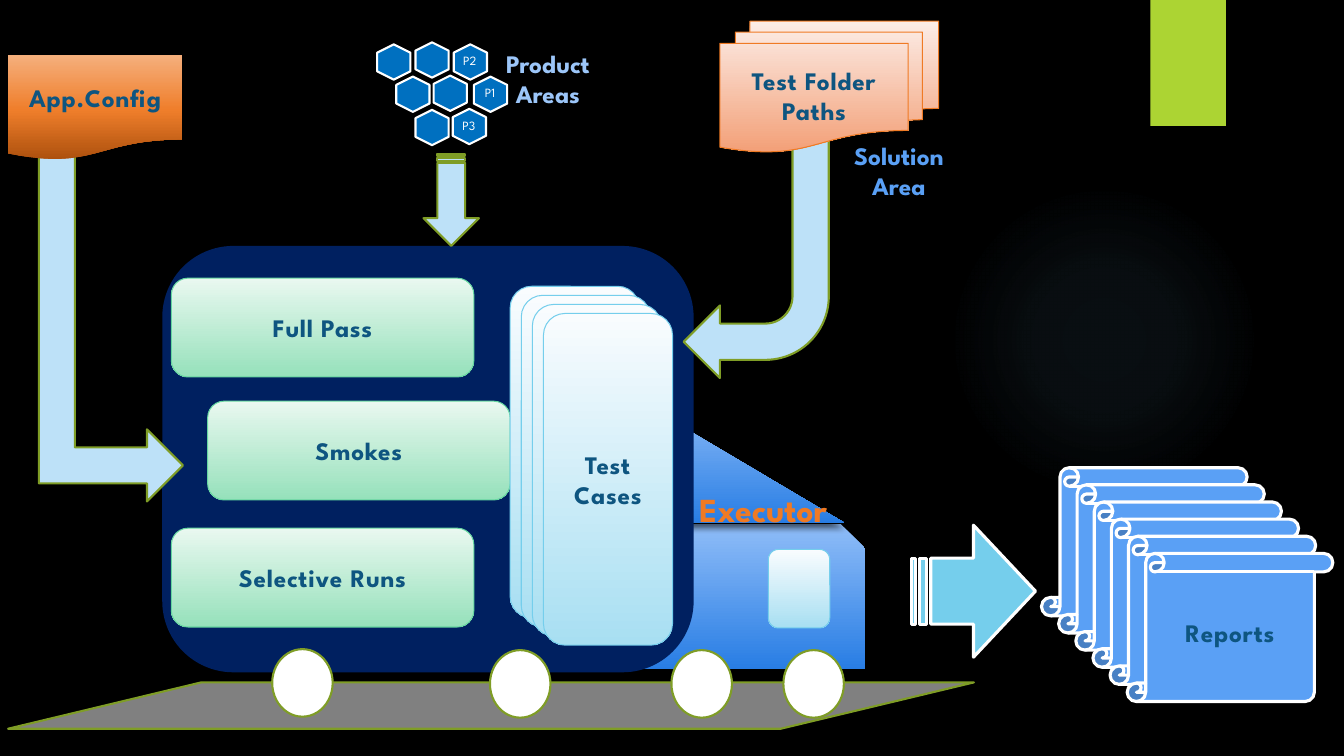
from pptx import Presentation
from pptx.dml.color import RGBColor
from pptx.enum.shapes import MSO_SHAPE
from pptx.enum.text import MSO_ANCHOR, PP_ALIGN
from pptx.oxml import parse_xml
from pptx.oxml.ns import nsdecls, qn
from pptx.util import Inches, Pt

RECT = MSO_SHAPE.RECTANGLE
ROUNDED = MSO_SHAPE.ROUNDED_RECTANGLE
OVAL = MSO_SHAPE.OVAL
HEXAGON = MSO_SHAPE.HEXAGON
CAB = MSO_SHAPE.SNIP_ROUND_RECTANGLE
TRIANGLE = MSO_SHAPE.RIGHT_TRIANGLE
ROAD = MSO_SHAPE.FLOWCHART_DATA
SCROLL = MSO_SHAPE.VERTICAL_SCROLL
STRIPED_ARROW = MSO_SHAPE.STRIPED_RIGHT_ARROW
BENT_UP_ARROW = MSO_SHAPE.BENT_UP_ARROW
BENT_ARROW = MSO_SHAPE.BENT_ARROW
DOCUMENT = MSO_SHAPE.FLOWCHART_DOCUMENT
DOCUMENTS = MSO_SHAPE.FLOWCHART_MULTIDOCUMENT
WHEEL = MSO_SHAPE.FLOWCHART_CONNECTOR
MIDDLE = MSO_ANCHOR.MIDDLE
TOP = MSO_ANCHOR.TOP
CENTER = PP_ALIGN.CENTER

COLORS = {
    "black": "000000", "white": "FFFFFF", "lime": "ACD433", "glow": "7AC4F0",
    "cell": "0070C0", "navy": "002060", "road": "808080", "olive": "7F9D26",
    "report": "5AA0F5", "sky": "75CEEC", "pale": "BDE1F8", "ink": "0E5580",
    "mint": "65D6A0", "orange": "EF7A24", "light": "9CC6F9",
}
GRADIENTS = {
    "truck": (90, [(0, "8FBDF8"), (100, "287DE4")]),
    "run": (90, [(0, "E9F8F0"), (100, "96E1BB")]),
    "case": (90, [(0, "F9FCFE"), (100, "A8DFF2")]),
    "folder": (90, [(0, "FCEDE7"), (100, "F3A078")]),
    "config": (270, [(0, "AC500D"), (48, "EF7E2B"), (100, "F5AF7C")]),
    "halo": (None, [(0, COLORS["glow"], 7), (36, COLORS["glow"], 6),
                    (69, COLORS["glow"], 0)]),
}


def color(name):
    return RGBColor.from_string(COLORS[name])


def gradient_xml(angle, stops):
    marks = ""
    for position, shade, *alpha in stops:
        opacity = f'<a:alpha val="{alpha[0] * 1000}"/>' if alpha else ""
        marks += (f'<a:gs pos="{position * 1000}"><a:srgbClr val="{shade}">'
                  f'{opacity}</a:srgbClr></a:gs>')
    if angle is None:
        course = ('<a:path path="circle"><a:fillToRect l="50000" t="50000" '
                  'r="50000" b="50000"/></a:path>')
    else:
        course = f'<a:lin ang="{angle * 60000}" scaled="0"/>'
    return parse_xml(f'<a:gradFill {nsdecls("a")} rotWithShape="1"><a:gsLst>'
                     f'{marks}</a:gsLst>{course}</a:gradFill>')


class Painter:
    font = "League Spartan"

    def __init__(self, page):
        self.page = page

    def shape(self, kind, at, fill=None, line=None, width=0.75, turn=0, shapes=None):
        shapes = shapes or self.page.shapes
        box = shapes.add_shape(kind, *map(Inches, at))
        box.shadow.inherit = False
        box.rotation = turn
        if fill in COLORS:
            box.fill.solid()
            box.fill.fore_color.rgb = color(fill)
        else:
            box.fill.background()
        if fill in GRADIENTS:
            properties = box._element.spPr
            properties.replace(properties.find(qn("a:noFill")),
                               gradient_xml(*GRADIENTS[fill]))
        if line:
            box.line.color.rgb = color(line)
            box.line.width = Pt(width)
        else:
            box.line.fill.background()
        return box

    def shadow(self, box, opacity, blur, distance):
        box._element.spPr.find(qn("a:effectLst")).append(parse_xml(
            f'<a:outerShdw {nsdecls("a")} blurRad="{Pt(blur)}" dist="{Pt(distance)}" '
            f'dir="5400000" rotWithShape="0"><a:srgbClr val="{COLORS["black"]}">'
            f'<a:alpha val="{opacity * 1000}"/></a:srgbClr></a:outerShdw>'))

    def caption(self, box, words, ink="ink", size=18, bold=True, spacing=0.5,
                wrap=True, anchor=MIDDLE):
        frame = box.text_frame
        frame.word_wrap = wrap
        frame.vertical_anchor = anchor
        para = frame.paragraphs[0]
        para.text = words
        para.alignment = CENTER
        para.font.name = self.font
        para.font.size = Pt(size)
        para.font.bold = bold
        para.font.color.rgb = color(ink)
        if spacing:
            para.font._element.set("spc", str(int(spacing * 100)))
        return para

    def label(self, at, words, shapes=None, inset=None, **style):
        box = (shapes or self.page.shapes).add_textbox(*map(Inches, at))
        frame = box.text_frame
        if inset is not None:
            frame.margin_left = frame.margin_right = Inches(inset)
            frame.margin_top = frame.margin_bottom = Inches(inset)
        return self.caption(box, words, spacing=0, **style)

    def stack(self, kind, count, start, step, size, fill, line, width=0.75):
        for index in range(count):
            corner = [first + index * gap for first, gap in zip(start, step)]
            box = self.shape(kind, (*corner, *size), fill, line, width)
        return box

    def honeycomb(self, cells):
        shapes = self.page.shapes.add_group_shape().shapes
        for left, top, words in cells:
            self.shape(HEXAGON, (left, top, 0.35, 0.33), "cell", "white", 1.5, 90, shapes)
            if words:
                para = self.label((left + 0.06, top + 0.04, 0.22, 0.24), words, shapes,
                                  0.04, ink="white", size=9, bold=False, wrap=False)
                para.line_spacing = 0.9


def main():
    deck = Presentation()
    deck.slide_width, deck.slide_height = Inches(13.33), Inches(7.5)
    page = deck.slides.add_slide(deck.slide_layouts[6])
    page.background.fill.solid()
    page.background.fill.fore_color.rgb = color("black")
    painter = Painter(page)

    painter.shape(OVAL, (9.41, 1.83, 3.08, 3.08), "halo")
    ribbon = painter.shape(RECT, (11.41, 0, 0.75, 1.25), "lime")
    painter.shadow(ribbon, 45, 3, 2)
    painter.honeycomb([
        (4.49, 0.45, "P2"), (4.11, 0.43, ""), (4.69, 0.77, "P1"),
        (4.29, 0.76, ""), (4.48, 1.09, "P3"), (3.92, 0.77, ""),
        (4.11, 1.1, ""), (3.73, 0.45, ""),
    ])

    for kind, at in ((CAB, (6.22, 5.2, 2.36, 1.44)), (TRIANGLE, (6.29, 3.95, 2.09, 1.24))):
        painter.shadow(painter.shape(kind, at, "truck"), 60, 5, 3)
    painter.shape(ROAD, (0.08, 6.77, 9.58, 0.46), "road", "olive", 1.5)
    painter.shape(ROUNDED, (1.61, 2.44, 5.27, 4.23), "navy")

    for left, top, words in ((1.7, 2.76, "Full Pass"), (2.06, 3.98, "Smokes"),
                             (1.7, 5.24, "Selective Runs")):
        run_box = painter.shape(ROUNDED, (left, top, 3, 0.98), "run", "mint")
        painter.caption(run_box, words)

    cases = painter.stack(ROUNDED, 4, (5.06, 2.84), (0.11, 0.09), (1.28, 3.29), "case", "sky")
    painter.caption(cases, "Test Cases")
    painter.shape(STRIPED_ARROW, (9.04, 5.21, 1.23, 1.31), "sky", "white", 2.25)
    reports = painter.stack(SCROLL, 6, (10.33, 4.64), (0.17, 0.17), (2.04, 1.47),
                            "report", "white", 2.25)
    painter.caption(reports, "Reports")

    painter.shape(BENT_UP_ARROW, (-0.63, 2.53, 3.46, 1.43), "pale", "olive", 1.5, 90)
    config = painter.shape(DOCUMENT, (0.08, 0.55, 1.73, 1.04), "config")
    painter.caption(config, "App.Config")
    painter.shape(BENT_ARROW, (6.78, 1.35, 1.44, 2.4), "pale", "olive", 1.5, 180)
    folders = painter.shape(DOCUMENTS, (7.14, 0.21, 2.17, 1.3), "folder", "orange")
    painter.caption(folders, "Test Folder Paths")
    painter.shape(STRIPED_ARROW, (4.02, 1.71, 0.91, 0.55), "pale", "olive", 1.5, 90)

    painter.label((6.76, 4.8, 1.62, 0.5), "Executor", ink="orange", size=24,
                  wrap=False, anchor=TOP)
    for left, top in ((6.66, 6.45), (7.77, 6.45), (4.86, 6.45), (2.7, 6.44)):
        painter.shape(WHEEL, (left, top, 0.6, 0.67), "white", "olive", 1.5)
    painter.shape(ROUNDED, (7.62, 5.45, 0.61, 0.78), "case", "sky")

    for at, words, ink in (((4.53, 0.29, 1.81, 0.97), "Product Areas", "light"),
                           ((8.17, 1.29, 1.49, 0.8), "Solution Area", "report")):
        painter.caption(painter.shape(ROUNDED, at), words, ink, spacing=0)

    deck.save("out.pptx")


if __name__ == "__main__":
    main()
